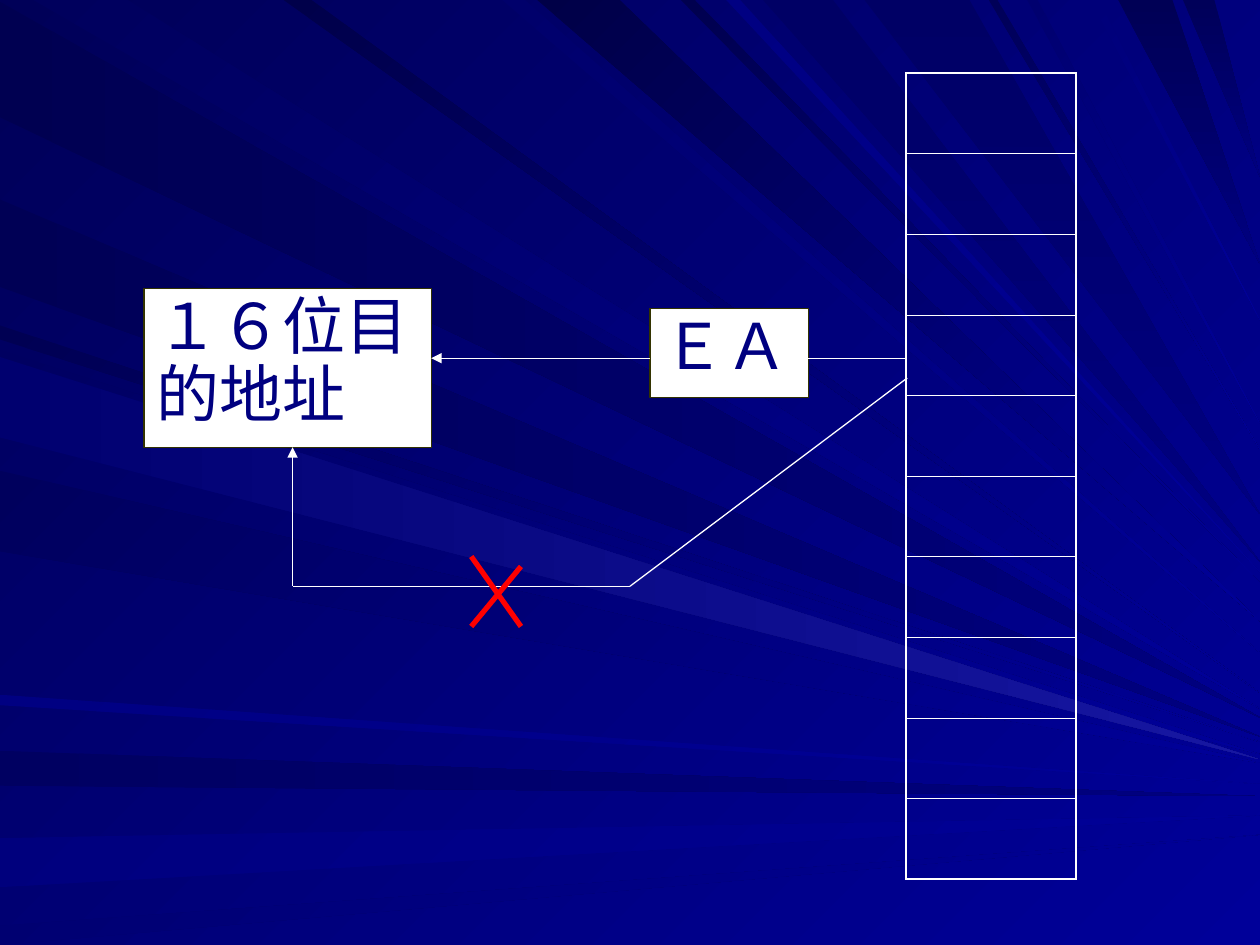
from lxml import etree
from pptx import Presentation
from pptx import util as u
from pptx.dml.color import RGBColor
from pptx.enum import shapes, text
from pptx.oxml import ns

WHITE, NAVY, OLIVE, RED = "FFFFFF", "000080", "333300", "FF0000"
DEEP, GLOW, SHINE = "000058", "000099", "1717A2"
FONT = "Arial"
WIDTH, HEIGHT = 720, 540

# Each ray runs from a stretch of the left or top edge to a tip on the right edge:
# (edge, start of stretch, end of stretch, height of tip, first colour, last colour)
RAYS = [
    ("left", 1, 67, 410, "000051", NAVY),
    ("top", 19, 73, 405, "00005D", GLOW),
    ("left", 429, 449, 455, "000061", NAVY),
    ("left", 479, 507, 466, "00007D", GLOW),
    ("left", 529, 540, 477, "00006F", GLOW),
    ("left", 186, 194, 424, "000053", GLOW),
    ("left", 114, 164, 421, "000055", NAVY),
    ("top", 287, 300, 373, "00006B", GLOW),
    ("top", 307, 354, 355, "000047", GLOW),
    ("top", 389, 397, 333, "00004F", GLOW),
    ("top", 436, 476, 321, "000065", NAVY),
    ("top", 639, 670, 151, "000055", NAVY),
    ("top", 676, 694, 101, "000059", NAVY),
    ("left", 200, 246, 431, "000061", GLOW),
    ("left", 269, 315, 436, "00005D", GLOW),
    ("left", 397, 403, 448, "000082", GLOW),
    ("top", 162, 178, 396, "00004A", GLOW),
    ("top", 415, 423, 327, "000082", GLOW),
    ("top", 494, 554, 294, "000065", NAVY),
    ("top", 565, 570, 257, DEEP, GLOW),
    ("top", 587, 593, 242, "00006F", GLOW),
    ("top", 623, 628, 183, "000079", GLOW),
    ("left", 204, 250, 434, "00006F", SHINE),
]


def paint(fill, first, last=None, angle=0):
    """Fill with one colour, or with a gradient at a clockwise angle."""
    if last is None:
        fill.solid()
        fill.fore_color.rgb = RGBColor.from_string(first)
        return
    fill.gradient()
    fill.gradient_angle = (360 - angle) % 360
    for stop, colour in zip(fill.gradient_stops, (first, last)):
        stop.color.rgb = RGBColor.from_string(colour)


def write(box, words, size=36, colour=NAVY, spacing=0.9):
    frame = box.text_frame
    frame.word_wrap = True
    frame.vertical_anchor = text.MSO_ANCHOR.TOP
    para = frame.paragraphs[0]
    para.alignment = text.PP_ALIGN.LEFT
    para.line_spacing = spacing
    span = para.add_run()
    span.text = words
    span.font.name = FONT
    span.font.size = u.Pt(size)
    paint(span.font.fill, colour)


deck = Presentation()
deck.slide_width, deck.slide_height = u.Pt(WIDTH), u.Pt(HEIGHT)
page = deck.slides.add_slide(deck.slide_layouts[6])
paint(page.background.fill, DEEP, GLOW, 45)

# Light rays behind everything
angles = {("left", NAVY): 0, ("left", SHINE): 0, ("top", NAVY): 90}
for edge, start, end, tip, first, last in RAYS:
    corners = [(0, y) if edge == "left" else (y, 0) for y in (start, end)]
    builder = page.shapes.build_freeform(*corners[0], scale=u.Pt(1))
    builder.add_line_segments([corners[1], (WIDTH, tip)], close=True)
    ray = builder.convert_to_shape()
    ray.shadow.inherit = False
    ray.line.fill.background()
    paint(ray.fill, first, last, angles.get((edge, last), 45))

# Memory column
ROWS, ROW_HEIGHT = 10, 46.08
THIN, THICK = 0.45, 1.08
frame = page.shapes.add_table(ROWS, 1, u.Pt(517.8), u.Pt(41.8), u.Pt(97.2), u.Pt(ROWS * ROW_HEIGHT))
memory = frame.table
memory.first_row = memory.horz_banding = False
for index, row in enumerate(memory.rows):
    row.height = u.Pt(ROW_HEIGHT)
    cell = row.cells[0]
    properties = cell._tc.get_or_add_tcPr()
    top = THICK if index == 0 else THIN
    bottom = THICK if index == ROWS - 1 else THIN
    for side, width in zip("LRTB", (THICK, THICK, top, bottom)):
        border = etree.SubElement(properties, ns.qn(f"a:ln{side}"), w=str(u.Pt(width)))
        solid = etree.SubElement(border, ns.qn("a:solidFill"))
        etree.SubElement(solid, ns.qn("a:srgbClr"), val=WHITE)
    cell.fill.background()

# Address boxes
for words, left, top, width, height in (
    ("１６位目的地址", 82.2, 165, 164.2, 90.6),
    ("ＥＡ", 371.4, 176.4, 90.6, 50.8),
):
    box = page.shapes.add_shape(
        shapes.MSO_SHAPE.RECTANGLE, u.Pt(left), u.Pt(top), u.Pt(width), u.Pt(height))
    box.shadow.inherit = False
    paint(box.fill, WHITE)
    paint(box.line.fill, OLIVE)
    box.line.width = u.Pt(0.75)
    write(box, words)

# Route through EA, direct route, and the cross that forbids the direct route
cell_exit, ea_right, ea_left, target_right = [(x, 204.7) for x in (518.4, 462, 371.4, 246.4)]
direct_exit, bend, corner, target_bottom = (518.4, 216), (360, 335), (167.2, 335), (167.2, 255.6)
cross_left, cross_right, cross_bottom = 269.3, 297.7, 358
for start, end, colour, width, arrow in (
    (ea_right, cell_exit, WHITE, 0.75, False),
    (ea_left, target_right, WHITE, 0.75, True),
    (direct_exit, bend, WHITE, 0.75, False),
    (bend, corner, WHITE, 0.75, False),
    (corner, target_bottom, WHITE, 0.75, True),
    ((cross_left, 318), (cross_right, cross_bottom), RED, 3, False),
    ((cross_right, 323.7), (cross_left, cross_bottom), RED, 3, False),
):
    line = page.shapes.add_connector(
        shapes.MSO_CONNECTOR.STRAIGHT, *(u.Pt(value) for value in start + end))
    paint(line.line.fill, colour)
    line.line.width = u.Pt(width)
    if arrow:
        etree.SubElement(line.line._get_or_add_ln(), ns.qn("a:tailEnd"), type="triangle")
    etree.SubElement(line._element.spPr, ns.qn("a:effectLst"))

deck.save("out.pptx")
